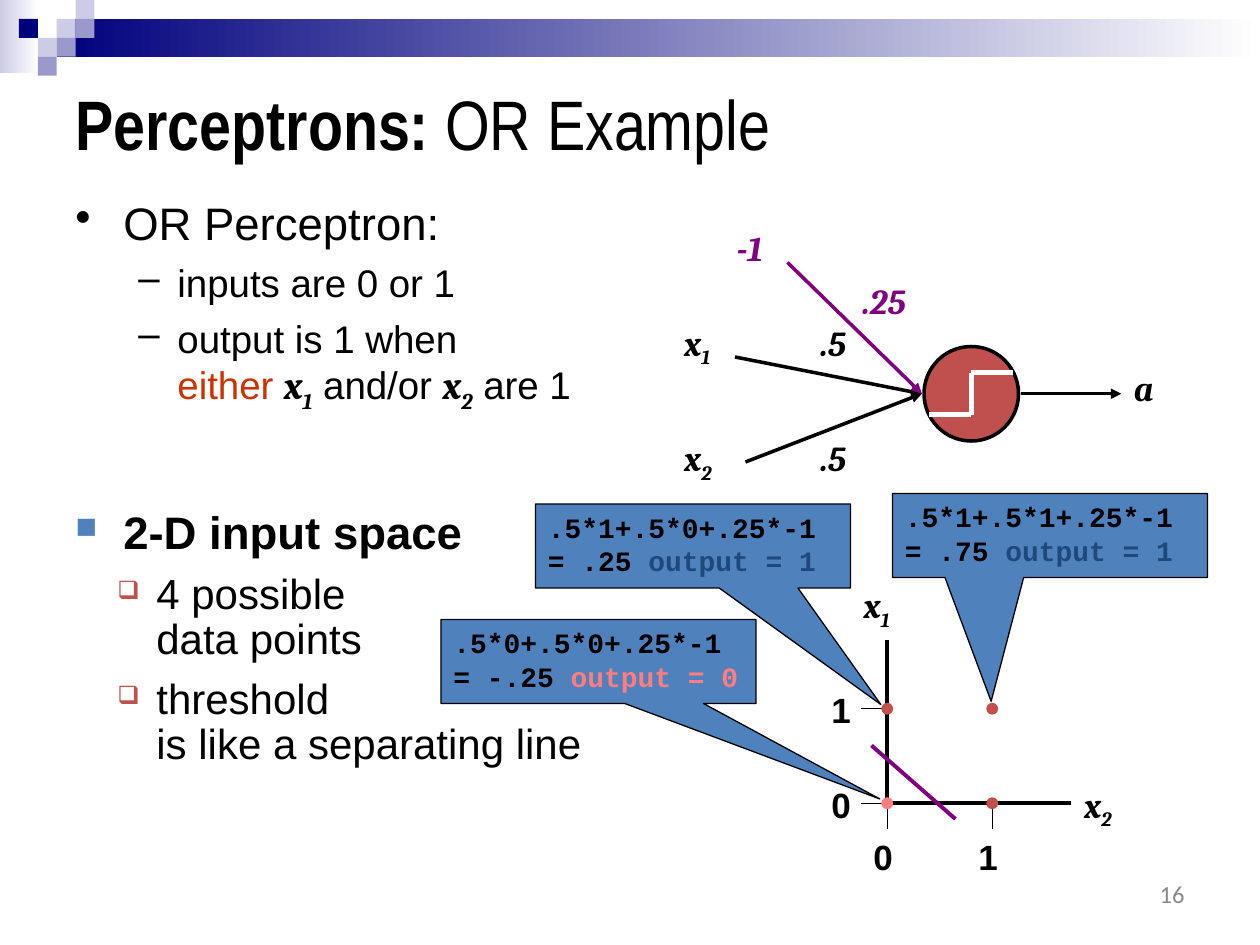
import dataclasses
from typing import Optional

import lxml.etree
import pptx
import pptx.dml.color
import pptx.enum.shapes
import pptx.enum.text
import pptx.oxml.ns
import pptx.util

COLUMNS, ROWS = 120, 90
BLACK, WHITE, PURPLE, RED, PINK = "000000", "FFFFFF", "800080", "C0504D", "FF7C80"
BLUE, DARK_BLUE, NAVY, LAVENDER, VIOLET = "4F81BD", "1F497D", "00007D", "CCCCE6", "9999CC"
SHAPES = pptx.enum.shapes.MSO_SHAPE
ALIGN = pptx.enum.text.PP_ALIGN
ANCHOR = pptx.enum.text.MSO_ANCHOR

deck = pptx.Presentation()
deck.slide_width, deck.slide_height = pptx.util.Inches(10), pptx.util.Inches(7.5)
page = deck.slides.add_slide(deck.slide_layouts[5])


@dataclasses.dataclass
class Style:
    size: float
    font: str = "Arial"
    color: str = BLACK
    bold: bool = False
    italic: bool = False
    subscript: bool = False


@dataclasses.dataclass
class Bullet:
    char: str
    color: str
    indent: float
    hanging: float
    level: int = 0
    percent: int = 100
    spacing: Optional[float] = None


def rgb(color: str):
    return pptx.dml.color.RGBColor.from_string(color)


def across(columns: float) -> int:
    return round(deck.slide_width * columns / COLUMNS)


def down(rows: float) -> int:
    return round(deck.slide_height * rows / ROWS)


def area(left: float, top: float, width: float, height: float) -> tuple:
    return across(left), down(top), across(width), down(height)


def child(parent, tag: str, **attributes: str):
    return lxml.etree.SubElement(parent, pptx.oxml.ns.qn(tag), attributes)


def write(para, *parts: tuple) -> None:
    """Write (text, style) parts; a newline in a text is a line break."""
    for text, style in parts:
        for number, piece in enumerate(text.split("\n")):
            if number:
                para.add_line_break()
            if not piece:
                continue
            span = para.add_run()
            span.text = piece
            font = span.font
            font.size, font.name = pptx.util.Pt(style.size), style.font
            font.bold, font.italic = style.bold, style.italic
            font.color.rgb = rgb(style.color)
            if style.subscript:
                span._r.get_or_add_rPr().set("baseline", "-25000")


def add_bullet(para, bullet: Bullet) -> None:
    para.level = bullet.level
    if bullet.spacing:
        para.line_spacing = bullet.spacing
    props = para._p.get_or_add_pPr()
    props.set("marL", str(pptx.util.Inches(bullet.indent)))
    props.set("indent", str(-pptx.util.Inches(bullet.hanging)))
    child(child(props, "a:buClr"), "a:srgbClr", val=bullet.color)
    child(props, "a:buSzPct", val=str(bullet.percent * 1000))
    child(props, "a:buChar", char=bullet.char)


def add_text(place: tuple):
    box = page.shapes.add_textbox(*area(*place))
    box.text_frame.word_wrap = True
    return box.text_frame


def add_label(left: float, top: float, width: float, *parts: tuple) -> None:
    frame = add_text((left, top, width, 5.8 if len(parts) > 1 else 5.3))
    frame.word_wrap = False
    frame.auto_size = pptx.enum.text.MSO_AUTO_SIZE.SHAPE_TO_FIT_TEXT
    write(frame.paragraphs[0], *parts)


def add_shape(kind, place: tuple, fill: str, line: Optional[str] = None,
              weight: float = 0.75, fade: Optional[str] = None):
    shape = page.shapes.add_shape(kind, *area(*place))
    shape.shadow.inherit = False
    if fade:
        shape.fill.gradient()
        shape.fill.gradient_angle = 0
        for stop, color in zip(shape.fill.gradient_stops, (fill, fade)):
            stop.color.rgb = rgb(color)
    else:
        shape.fill.solid()
        shape.fill.fore_color.rgb = rgb(fill)
    if line:
        shape.line.color.rgb = rgb(line)
        shape.line.width = pptx.util.Pt(weight)
    else:
        shape.line.fill.background()
    return shape


def add_line(start: tuple, end: tuple, color: str = BLACK, weight: float = 0.75,
             arrow: bool = False) -> None:
    line = page.shapes.add_connector(pptx.enum.shapes.MSO_CONNECTOR.STRAIGHT,
                                     across(start[0]), down(start[1]), across(end[0]), down(end[1]))
    line.line.color.rgb = rgb(color)
    line.line.width = pptx.util.Pt(weight)
    if arrow:
        child(line.line._get_or_add_ln(), "a:tailEnd", type="triangle")
    child(line._element.spPr, "a:effectLst")


def add_callout(left: float, top: float, tip: tuple, formula: str, total: str,
                output: str, color: str) -> None:
    width, height = 30, 8
    shape = add_shape(SHAPES.RECTANGULAR_CALLOUT, (left, top, width, height), BLUE, BLACK)
    shape.adjustments[0] = (tip[0] - left - width / 2) / width
    shape.adjustments[1] = (tip[1] - top - height / 2) / height
    frame = shape.text_frame
    frame.vertical_anchor = ANCHOR.TOP
    code = Style(16, "Courier New", bold=True)
    write(frame.paragraphs[0], (formula, code))
    write(frame.add_paragraph(), (total, code), (output, dataclasses.replace(code, color=color)))
    for para in frame.paragraphs:
        para.alignment = ALIGN.LEFT


# Header band and its squares
add_shape(SHAPES.RECTANGLE, (0, 0, 3.7, 7), LAVENDER, fade=WHITE)
add_shape(SHAPES.RECTANGLE, (5.4, 1.8, 114.6, 3.6), NAVY, fade=WHITE)
SQUARE = 1.8
for column, row, color in ((3, 1, LAVENDER), (4, 0, LAVENDER), (4, 1, VIOLET), (2, 2, LAVENDER),
                           (1, 1, NAVY), (3, 2, VIOLET), (2, 3, VIOLET)):
    add_shape(SHAPES.RECTANGLE, (column * SQUARE, row * SQUARE, SQUARE, SQUARE), color)

# Title
title = page.shapes.title
title.left, title.top, title.width, title.height = area(6, 5.4, 108, 12.6)
title.text_frame.vertical_anchor = ANCHOR.MIDDLE
heading = title.text_frame.paragraphs[0]
heading.alignment = ALIGN.LEFT
write(heading, ("Perceptrons: ", Style(40, "Arial Narrow", bold=True)),
      ("OR Example", Style(40, "Arial Narrow")))

# Bulleted text
body = Style(22)
symbol = Style(22, "Cambria", bold=True, italic=True)
index = dataclasses.replace(symbol, subscript=True)
dot, dash = Bullet("•", BLACK, 0.38, 0.38), Bullet("–", BLACK, 0.81, 0.31, 1)
perceptron = add_text((6, 18, 56.5, 23))
items = [
    (dot, [("OR Perceptron:", Style(26))]),
    (dash, [("inputs are 0 or 1", body)]),
    (dash, [("output is 1 when\n", body), ("either ", Style(22, color="CC3300")), ("x", symbol),
            ("1", index), (" and/or ", body), ("x", symbol), ("2", index), (" are 1", body)]),
]
for number, (bullet, parts) in enumerate(items):
    para = perceptron.add_paragraph() if number else perceptron.paragraphs[0]
    if number:
        para.space_before = pptx.util.Pt(5.5)
    add_bullet(para, bullet)
    write(para, *parts)

square = Bullet("■", BLUE, 0.38, 0.38, 0, 65, 0.9)
hollow = Bullet("❑", RED, 0.81, 0.31, 1, 60, 0.9)
for place, bullet, text, style in (
        ((6, 48, 56.5, 7), square, "2-D input space", Style(26, bold=True)),
        ((4, 54, 54, 10), hollow, "4 possible\ndata points", Style(24)),
        ((4, 64, 54, 10), hollow, "threshold\nis like a separating line", Style(24))):
    para = add_text(place).paragraphs[0]
    add_bullet(para, bullet)
    write(para, (text, style))

# Perceptron: inputs, weights, step unit and output
math_style = Style(20, "Cambria", bold=True, italic=True)
math_index = dataclasses.replace(math_style, subscript=True)
bias = dataclasses.replace(math_style, color=PURPLE)
for number, top, start in (("1", 30, (70, 34)), ("2", 41, (71, 44))):
    add_line(start, (87.8, 37.5), weight=2, arrow=True)
    add_label(64, top, 5, ("x", math_style), (number, math_index))
    add_label(77, top, 4.9, (".5", math_style))
add_shape(SHAPES.OVAL, (88, 33, 9, 9), RED, BLACK, 2)
step = [(88.5, 39.5), (92.5, 39.5), (92.5, 35.5), (96.5, 35.5)]
for start, end in zip(step, step[1:]):
    add_line(start, end, WHITE, 3)
add_line((97.2, 37.5), (106.8, 37.5), weight=2, arrow=True)
add_label(106.8, 34.3, 4.2, ("a", math_style))
add_line((75, 25), (87.8, 37.5), PURPLE, 2, True)
add_label(69, 21, 5.3, ("-1", bias))
add_label(81, 26, 6.6, (".25", bias))

# Input space: axes, ticks, data points and separating line
ZERO_X, ONE_X, ZERO_Y, ONE_Y = 84.5, 94.5, 76.5, 67.5
add_line((ZERO_X, 61), (ZERO_X, 77), weight=2.25)
add_line((102, ZERO_Y), (84, ZERO_Y), weight=2.25)
digit = Style(20, bold=True)
for y, text in ((ONE_Y, "1"), (ZERO_Y, "0")):
    add_line((82, y), (84, y))
    add_label(78, y - 2.5, 4.2, (text, digit))
for x, text in ((ONE_X, "1"), (ZERO_X, "0")):
    add_line((x, 79), (x, 77))
    add_label(x - 2.5, 79, 4.2, (text, digit))
add_label(81.1, 55, 5, ("x", math_style), ("1", math_index))
add_label(102.1, 74, 5, ("x", math_style), ("2", math_index))
for x, y, color in ((ONE_X, ONE_Y, RED), (ZERO_X, ONE_Y, RED),
                    (ONE_X, ZERO_Y, RED), (ZERO_X, ZERO_Y, PINK)):
    add_shape(SHAPES.OVAL, (x - 0.5, y - 0.5, 1, 1), color, color)
add_line((83, 71), (91, 78), PURPLE, 2.25)

# Callouts
add_callout(42, 59, (83.8, 76.1), ".5*0+.5*0+.25*-1", "= -.25 ", "output = 0", PINK)
add_callout(85, 47, (94.4, 66.8), ".5*1+.5*1+.25*-1", "= .75 ", "output = 1", DARK_BLUE)
add_callout(51, 48, (83.9, 67.1), ".5*1+.5*0+.25*-1", "= .25 ", "output = 1", DARK_BLUE)

# Page number
footer = add_text((86, 83, 28, 4.2))
footer.vertical_anchor = ANCHOR.MIDDLE
footer.paragraphs[0].alignment = ALIGN.RIGHT
write(footer.paragraphs[0], ("16", Style(14, "Calibri", "898989")))

deck.save("out.pptx")
